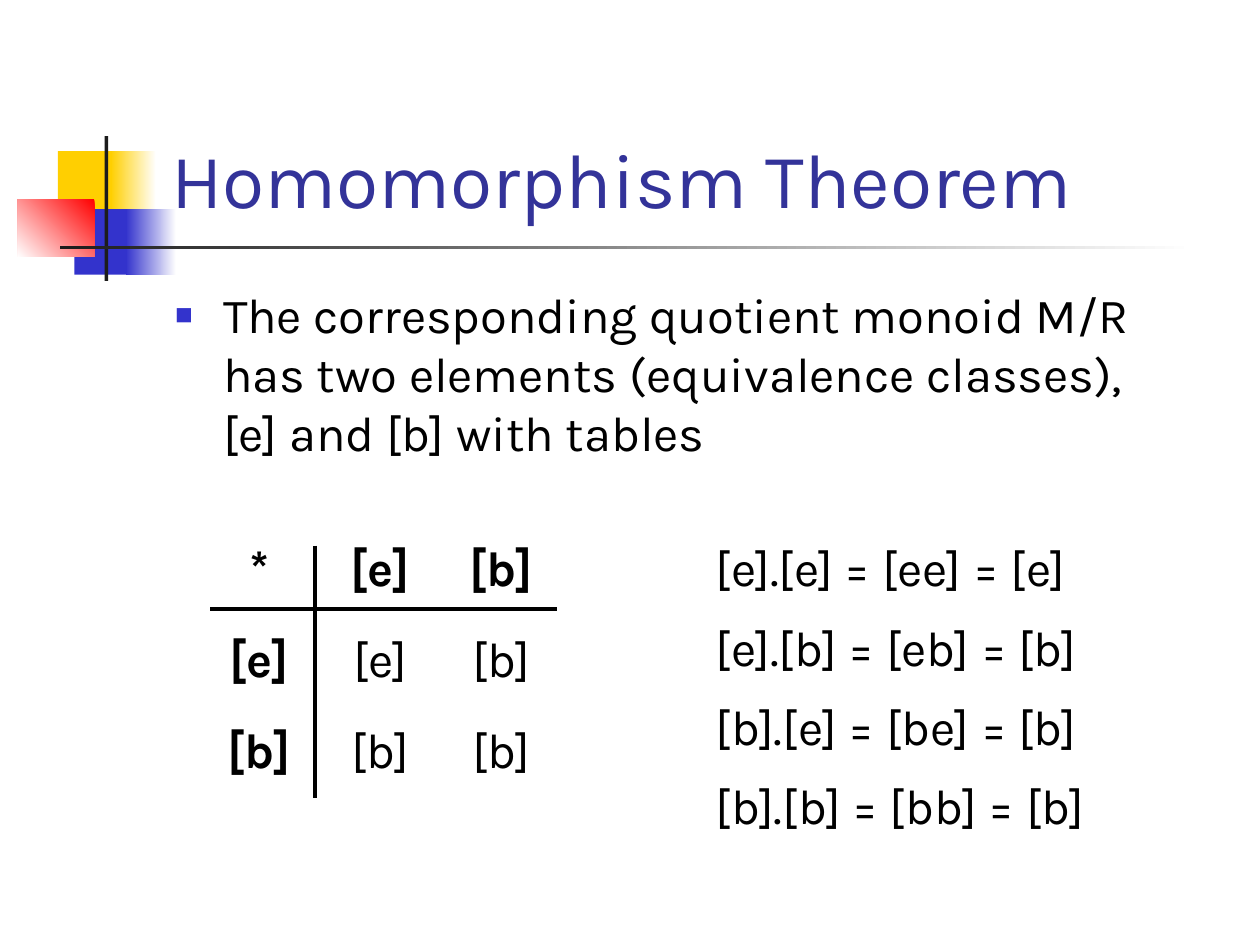
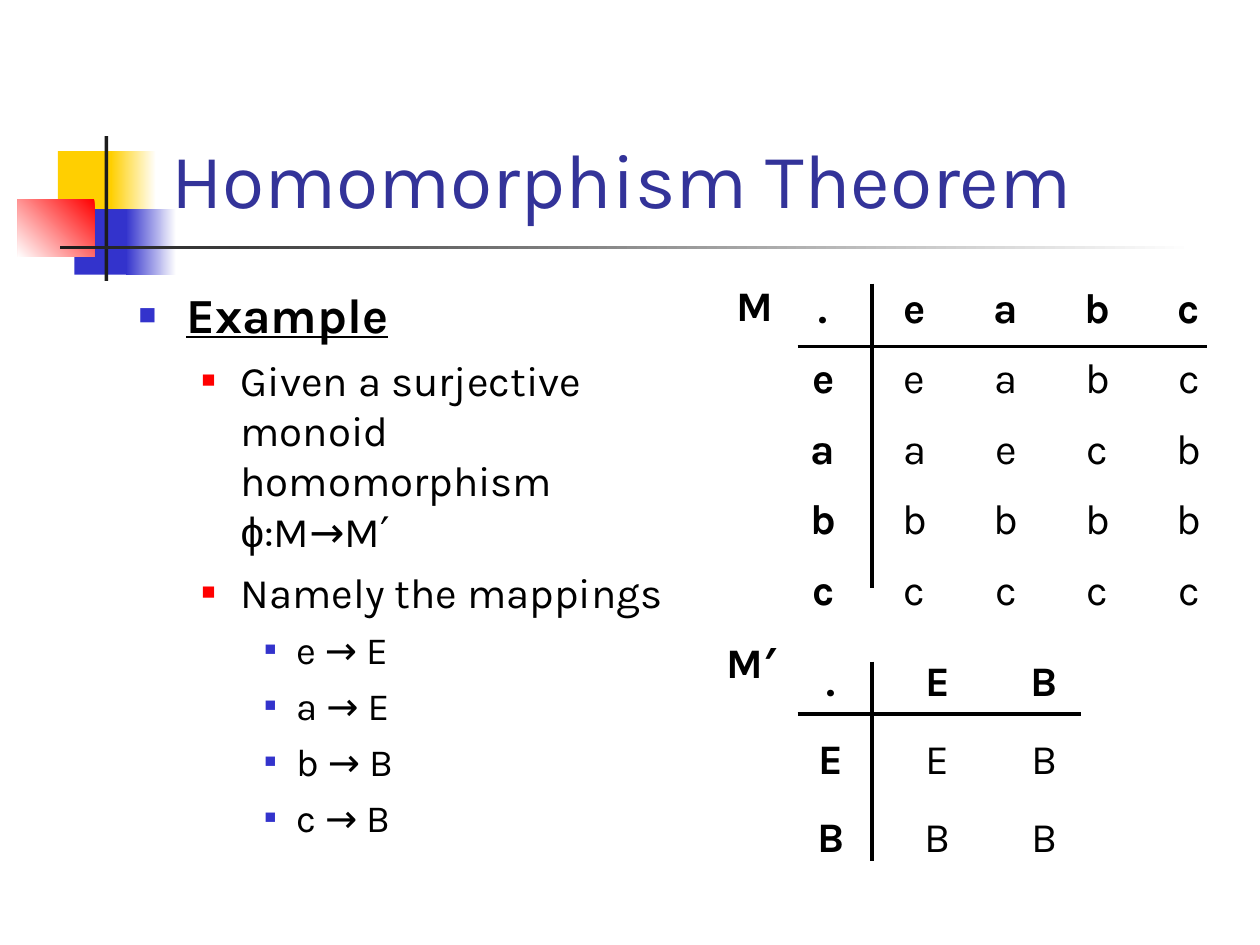
from dataclasses import dataclass
from typing import NamedTuple

from lxml import etree
from pptx import Presentation
from pptx import util as u
from pptx.dml.color import RGBColor
from pptx.enum import shapes, text
from pptx.oxml.ns import qn

# Scale and shared style
PX = 9144  # EMU per px, 100 px to the inch
FONT = "Karla"
SYMBOL_FONT = "Arial"
PHI = "ϕ"
BLACK = RGBColor(0x00, 0x00, 0x00)
WHITE = RGBColor(0xFF, 0xFF, 0xFF)
INK = RGBColor(0x1C, 0x1C, 0x1C)
INDIGO = RGBColor(0x33, 0x33, 0x99)
BLUE = RGBColor(0x33, 0x33, 0xCC)
RED = RGBColor(0xFF, 0x00, 0x00)
YELLOW = RGBColor(0xFF, 0xCF, 0x01)
PLAIN_TABLE = "{2D5ABB26-0587-4C30-8999-92F81FD0307C}"  # no style, no grid


class Box(NamedTuple):
    left: int
    top: int
    width: int
    height: int

    def emu(self) -> list[int]:
        return [v * PX for v in self]


@dataclass(frozen=True)
class Band:
    box: Box
    start: RGBColor
    end: RGBColor | None = None  # None for a solid fill
    angle: int = 180  # counter-clockwise


@dataclass(frozen=True)
class Level:
    size: int
    before: float
    margin: int
    hang: int
    bullet_color: RGBColor
    bullet_percent: int


class Item(NamedTuple):
    level: int
    runs: tuple[str, ...]
    heading: bool = False


@dataclass(frozen=True)
class Grid:
    left: int
    top: int
    width: int
    row_height: int
    rows: list[list[str]]
    size: int
    before: int
    is_operation: bool = True  # bold headings, centred entries


class Rule(NamedTuple):
    x1: int
    y1: int
    x2: int
    y2: int


BANDS = [
    Band(Box(46, 120, 48, 52), YELLOW),
    Band(Box(88, 120, 36, 52), WHITE, YELLOW),
    Band(Box(59, 166, 46, 52), BLUE),
    Band(Box(100, 166, 40, 52), WHITE, BLUE),
    Band(Box(14, 158, 61, 46), RED, WHITE, 225),
    Band(Box(83, 108, 3, 115), INK),
    Band(Box(48, 195, 900, 3), WHITE, INK),
]
LEVELS = [
    Level(28, 7, 38, 38, BLUE, 60),
    Level(24, 6, 81, 31, RED, 55),
    Level(22, 5.5, 125, 25, BLUE, 50),
]


def style_run(r, size: int, color: RGBColor = BLACK, bold: bool = False,
              name: str = FONT) -> None:
    r.font.size = u.Pt(size)
    r.font.name = name
    r.font.bold = bold
    r.font.color.rgb = color


def place(sp, box: Box) -> None:
    sp.left, sp.top, sp.width, sp.height = box.emu()


def move_bands_to_layout(slide) -> None:
    """Draw the bands and hand them to the layout, so every slide shows them."""
    for number, band in enumerate(BANDS, 100):
        sp = slide.shapes.add_shape(shapes.MSO_SHAPE.RECTANGLE, *band.box.emu())
        sp.shadow.inherit = False
        sp.line.fill.background()
        if band.end is None:
            sp.fill.solid()
            sp.fill.fore_color.rgb = band.start
        else:
            sp.fill.gradient()
            sp.fill.gradient_angle = band.angle
            stops = sp.fill.gradient_stops
            for stop, color, position in zip(stops, (band.start, band.end), (0, 1)):
                stop.color.rgb = color
                stop.position = position
        sp.element.xpath("./p:nvSpPr/p:cNvPr")[0].set("id", str(number))
        slide.slide_layout.shapes.element.append(sp.element)


def add_title(slide, title: str) -> None:
    sp = slide.shapes.title
    place(sp, Box(126, 23, 852, 160))
    tf = sp.text_frame
    tf.text = title
    tf.vertical_anchor = text.MSO_ANCHOR.BOTTOM
    tf.auto_size = text.MSO_AUTO_SIZE.NONE
    p = tf.paragraphs[0]
    p.alignment = text.PP_ALIGN.LEFT
    style_run(p.runs[0], 44, INDIGO)


def set_bullet(p, level: Level) -> None:
    pPr = p._p.get_or_add_pPr()
    pPr.set("marL", str(level.margin * PX))
    pPr.set("indent", str(-level.hang * PX))
    color = etree.SubElement(pPr, qn("a:buClr"))
    etree.SubElement(color, qn("a:srgbClr"), val=str(level.bullet_color))
    etree.SubElement(pPr, qn("a:buSzPct"), val=str(level.bullet_percent * 1000))
    etree.SubElement(pPr, qn("a:buChar"), char="■")


def add_list(slide, box: Box, items: list[Item]) -> None:
    sp = slide.placeholders[1]
    place(sp, box)
    tf = sp.text_frame
    tf.auto_size = text.MSO_AUTO_SIZE.NONE
    for i, item in enumerate(items):
        p = tf.paragraphs[0] if i == 0 else tf.add_paragraph()
        level = LEVELS[item.level]
        p.level = item.level
        p.space_before = u.Pt(level.before)
        set_bullet(p, level)
        for words in item.runs:
            r = p.add_run()
            r.text = words
            name = SYMBOL_FONT if words == PHI else FONT
            style_run(r, level.size, bold=item.heading, name=name)
            r.font.underline = item.heading


def add_grid(slide, grid: Grid) -> None:
    n_rows, n_cols = len(grid.rows), len(grid.rows[0])
    box = Box(grid.left, grid.top, grid.width, grid.row_height * n_rows)
    frame = slide.shapes.add_table(n_rows, n_cols, *box.emu())
    frame.element.xpath(".//a:tableStyleId")[0].text = PLAIN_TABLE
    table = frame.table
    table.first_row = table.horz_banding = False
    for i, row in enumerate(grid.rows):
        table.rows[i].height = grid.row_height * PX
        for j, entry in enumerate(row):
            cell = table.cell(i, j)
            cell.fill.background()
            cell.text_frame.text = entry
            p = cell.text_frame.paragraphs[0]
            p.space_before = u.Pt(grid.before)
            if grid.is_operation:
                p.alignment = text.PP_ALIGN.CENTER
            is_heading = grid.is_operation and (i == 0 or j == 0)
            style_run(p.runs[0], grid.size, bold=is_heading)


def add_rule(slide, rule: Rule) -> None:
    line = slide.shapes.add_connector(
        shapes.MSO_CONNECTOR.STRAIGHT, *(v * PX for v in rule))
    line.line.color.rgb = BLACK
    line.line.width = u.Pt(2.25)
    etree.SubElement(line.element.spPr, qn("a:effectLst"))


def add_label(slide, box: Box, label: str) -> None:
    tf = slide.shapes.add_textbox(*box.emu()).text_frame
    tf.word_wrap = True
    tf.auto_size = text.MSO_AUTO_SIZE.SHAPE_TO_FIT_TEXT
    tf.text = label
    p = tf.paragraphs[0]
    p.space_before = u.Pt(15)
    style_run(p.runs[0], 24, bold=True)


def add_theorem_slide(prs):
    slide = prs.slides.add_slide(prs.slide_layouts[1])
    add_title(slide, "Homomorphism Theorem")
    return slide


def build_quotient_slide(prs) -> None:
    slide = add_theorem_slide(prs)
    move_bands_to_layout(slide)
    add_list(slide, Box(129, 221, 779, 163), [
        Item(0, ("The corresponding quotient monoid M/R has two elements "
                 "(equivalence classes), [e] and [b] with tables",)),
    ])
    # Quotient table and its products
    add_grid(slide, Grid(158, 425, 288, 72, [
        ["*", "[e]", "[b]"],
        ["[e]", "[e]", "[b]"],
        ["[b]", "[b]", "[b]"],
    ], 28, 7))
    add_grid(slide, Grid(558, 425, 375, 63, [
        ["[e].[e] = [ee] = [e]"],
        ["[e].[b] = [eb] = [b]"],
        ["[b].[e] = [be] = [b]"],
        ["[b].[b] = [bb] = [b]"],
    ], 28, 7, is_operation=False))
    for rule in (Rule(250, 433, 250, 633), Rule(167, 483, 442, 483)):
        add_rule(slide, rule)


def build_example_slide(prs) -> None:
    slide = add_theorem_slide(prs)
    mappings = ["e → E", "a → E", "b → B", "c → B"]
    add_list(slide, Box(100, 221, 446, 450), [
        Item(0, ("Example",), heading=True),
        Item(1, ("Given a surjective monoid homomorphism ", PHI, ":M→M′")),
        Item(1, ("Namely the mappings",)),
        *(Item(2, (mapping,)) for mapping in mappings),
    ])
    # Operation tables of M and M′
    add_grid(slide, Grid(617, 221, 363, 56, [
        list(row) for row in (".eabc", "eeabc", "aaecb", "bbbbb", "ccccc")
    ], 24, 6))
    add_grid(slide, Grid(617, 517, 254, 62, [
        list(row) for row in (".EB", "EEB", "BBB")
    ], 24, 6))
    add_label(slide, Box(575, 217, 67, 50), "M")
    add_label(slide, Box(567, 500, 75, 50), "M′")
    for rule in (Rule(692, 225, 692, 467), Rule(633, 275, 958, 275),
                 Rule(692, 525, 692, 683), Rule(633, 567, 858, 567)):
        add_rule(slide, rule)


def main() -> None:
    prs = Presentation()
    prs.slide_width, prs.slide_height = 1000 * PX, 750 * PX
    build_quotient_slide(prs)
    build_example_slide(prs)
    prs.save("out.pptx")


if __name__ == "__main__":
    main()
